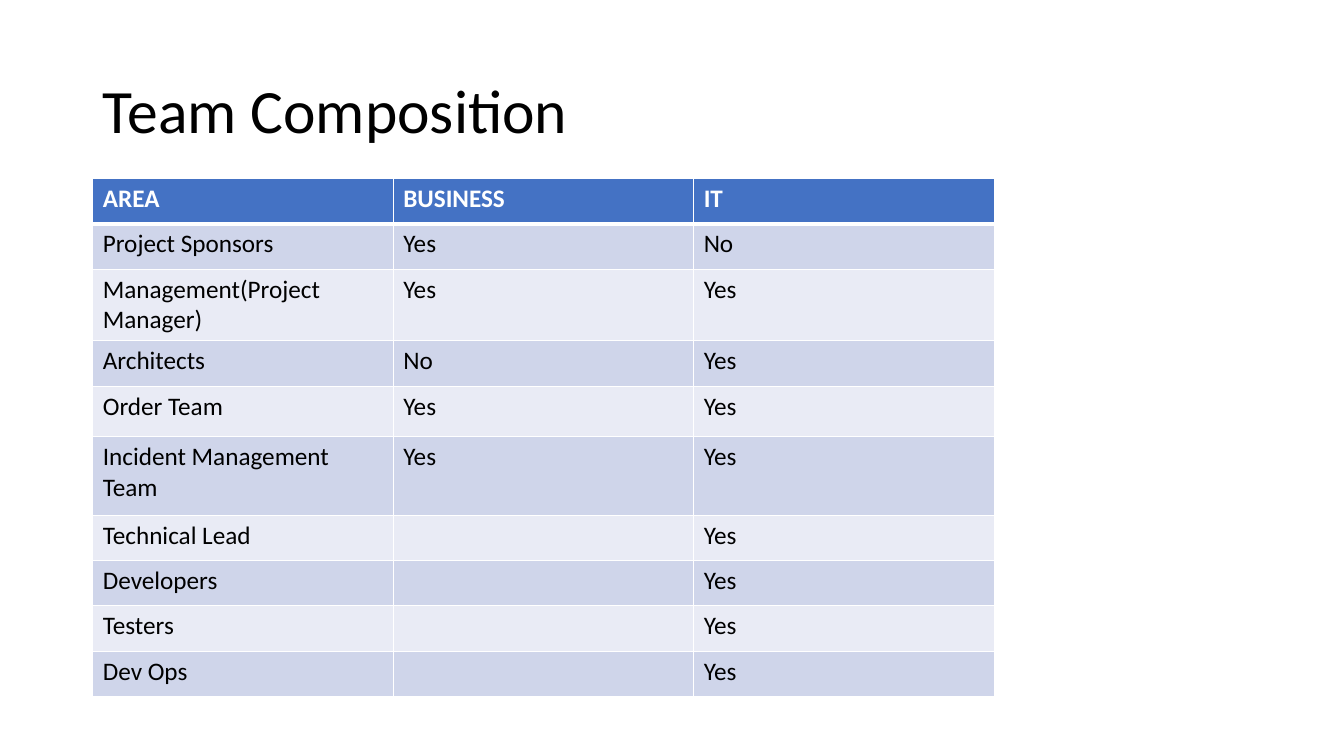
from lxml.etree import fromstring
from pptx import Presentation
from pptx.dml.color import RGBColor as RGB
from pptx.enum.text import MSO_ANCHOR as ANCHOR, PP_ALIGN as ALIGN
from pptx.oxml.ns import nsdecls
from pptx.util import Inches, Pt

COLORS = {"text": "000000", "white": "FFFFFF", "header": "4472C4",
          "odd": "CFD5EA", "even": "E9EBF5"}

TEAM = [
    ("AREA", "BUSINESS", "IT"),
    ("Project Sponsors", "Yes", "No"),
    ("Management(Project Manager)", "Yes", "Yes"),
    ("Architects", "No", "Yes"),
    ("Order Team", "Yes", "Yes"),
    ("Incident Management Team", "Yes", "Yes"),
    ("Technical Lead", "", "Yes"),
    ("Developers", "", "Yes"),
    ("Testers", "", "Yes"),
    ("Dev Ops", "", "Yes"),
]
ROW_HEIGHT = 0.45
TALL_ROWS = {4: 0.5, 5: 0.78}
COL_WIDTH = 2.98


class SlideBuilder:
    def __init__(self, prs, font="Calibri"):
        self.s = prs.slides.add_slide(prs.slide_layouts[5])
        self.font = font

    def add_text(self, tf, text, color, **fmt):
        p = tf.paragraphs[0]
        r = p.add_run()
        r.text = text
        for name, value in {"name": self.font, **fmt}.items():
            setattr(r.font, name, value)
        r.font.color.rgb = RGB.from_string(COLORS[color])
        return p

    def title(self, text, left, top, width, height):
        sp = self.s.shapes.title
        sp.left, sp.top = Inches(left), Inches(top)
        sp.width, sp.height = Inches(width), Inches(height)
        tf = sp.text_frame
        tf.word_wrap = True
        tf.vertical_anchor = ANCHOR.MIDDLE
        p = self.add_text(tf, text, "text", size=Pt(44))
        p.alignment, p.line_spacing = ALIGN.LEFT, 0.9

    def borders(self, cell, **points):
        """Draw white cell borders; points maps a side (L, R, T, B) to its width."""
        tcPr = cell._tc.get_or_add_tcPr()
        for i, (side, width) in enumerate(points.items()):
            tcPr.insert(i, fromstring(
                f'<a:ln{side} {nsdecls("a")} w="{Pt(width)}"><a:solidFill>'
                f'<a:srgbClr val="{COLORS["white"]}"/></a:solidFill></a:ln{side}>'))

    def table(self, rows, left, top):
        heights = [TALL_ROWS.get(i, ROW_HEIGHT) for i in range(len(rows))]
        n_cols = len(rows[0])
        table = self.s.shapes.add_table(
            len(rows), n_cols, Inches(left), Inches(top),
            Inches(COL_WIDTH * n_cols), Inches(sum(heights))).table
        for col in table.columns:
            col.width = Inches(COL_WIDTH)
        for i, (values, height) in enumerate(zip(rows, heights)):
            table.rows[i].height = Inches(height)
            header = i == 0
            fill = "header" if header else "odd" if i % 2 else "even"
            for j, text in enumerate(values):
                cell = table.cell(i, j)
                cell.fill.solid()
                cell.fill.fore_color.rgb = RGB.from_string(COLORS[fill])
                self.borders(cell, L=1, R=1, T=3 if i == 1 else 1,
                             B=3 if header else 1)
                if text:
                    self.add_text(cell.text_frame, text,
                                  "white" if header else "text",
                                  size=Pt(18), bold=header)


def main():
    prs = Presentation()
    prs.slide_width, prs.slide_height = Inches(13.33), Inches(7.5)
    slide = SlideBuilder(prs)
    slide.title("Team Composition", 0.92, 0.4, 11.5, 1.45)
    slide.table(TEAM, 0.92, 1.77)
    prs.save("out.pptx")


if __name__ == "__main__":
    main()
